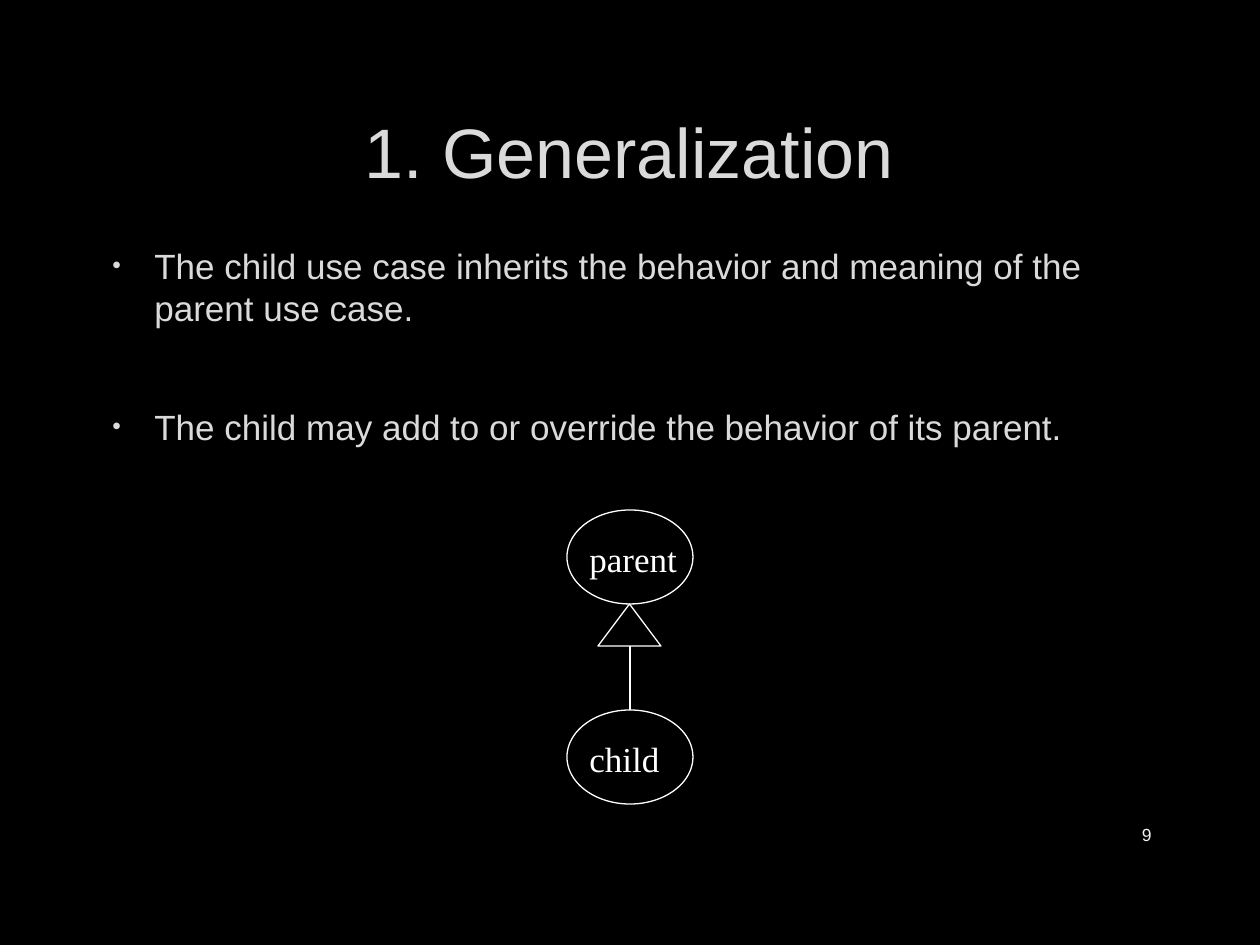
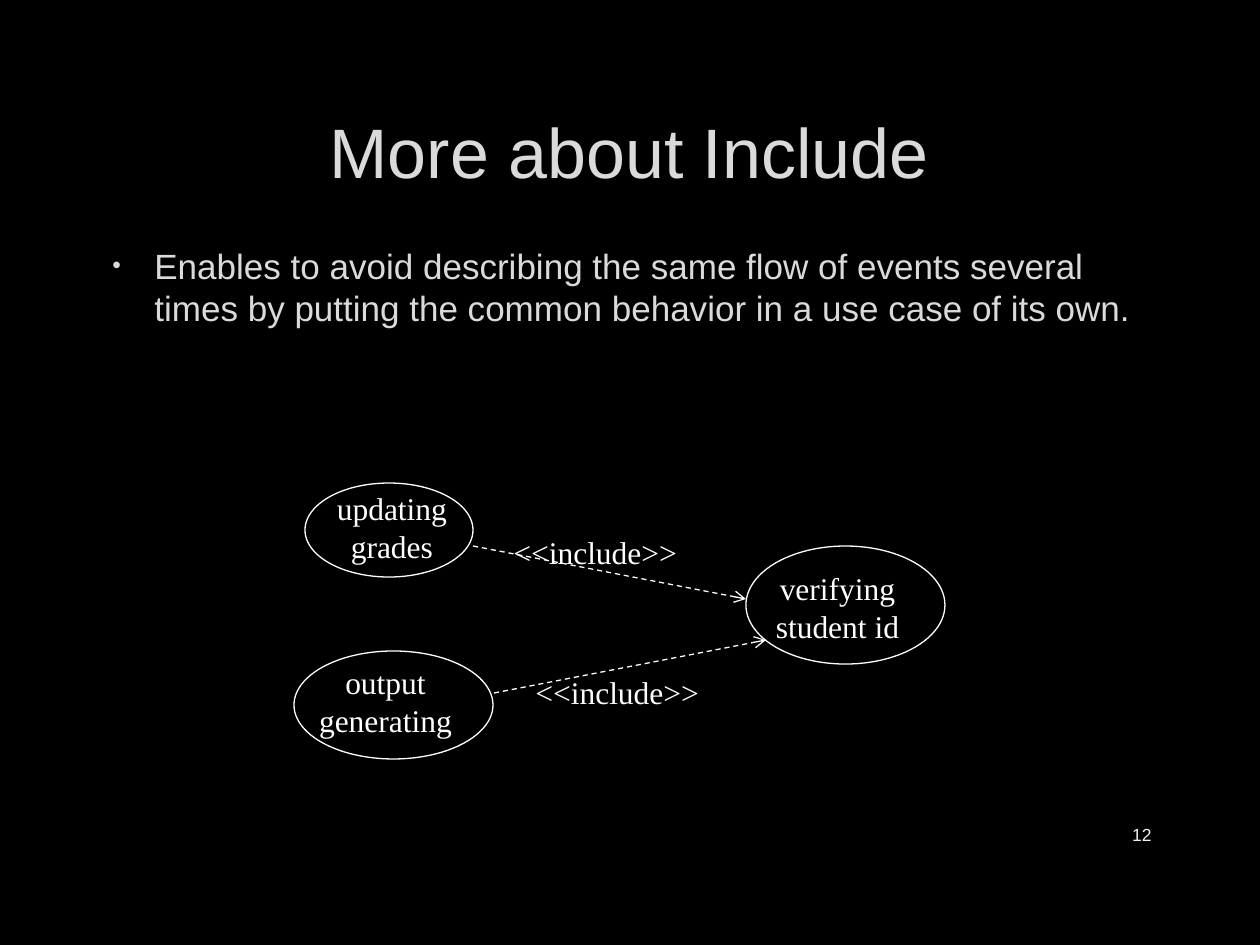
from lxml import etree
from pptx import Presentation
from pptx.dml.color import RGBColor
from pptx.enum.dml import MSO_LINE
from pptx.enum.shapes import MSO_CONNECTOR, MSO_SHAPE
from pptx.enum.text import MSO_ANCHOR, PP_ALIGN
from pptx.oxml.ns import qn
from pptx.util import Pt

PX = 914400 / 126
WIDTH, HEIGHT = 1260, 945
BLACK, WHITE, GREY, PALE = "000000", "FFFFFF", "DADADA", "F2F2F2"
SANS, SERIF = "Arial", "Times New Roman"
TITLE = (94, 84, 1070, 134)
BODY = (94, 238, 1070, 559)
NUMBER = (1086, 810, 78, 50)


def px(*vals):
    return [round(val * PX) for val in vals]


def color(code):
    return RGBColor.from_string(code)


def node(parent, tag, **attrs):
    item = etree.SubElement(parent, qn(tag))
    for key, val in attrs.items():
        item.set(key, val)
    return item


def write(frame, text, size=18, font=SERIF, ink=WHITE, align=PP_ALIGN.LEFT,
          anchor=MSO_ANCHOR.TOP, wrap=True, bullet=False, gap=0, after=0):
    """Fill a frame, one paragraph a line; gap parts the paragraphs."""
    frame.word_wrap = wrap
    frame.vertical_anchor = anchor
    for i, line in enumerate(text.split("\n")):
        para = frame.add_paragraph() if i else frame.paragraphs[0]
        para.alignment = align
        para.space_before = Pt(gap if i else 0)
        para.space_after = Pt(after)
        if bullet:
            add_bullet(para, ink)
        run = para.add_run()
        run.text = line
        run.font.size = Pt(size)
        run.font.name = font
        run.font.color.rgb = color(ink)


def add_bullet(para, ink):
    props = para._p.get_or_add_pPr()
    left, hang = px(48, 42)
    props.set("marL", str(left))
    props.set("indent", str(-hang))
    node(node(props, "a:buClr"), "a:srgbClr", val=ink)
    node(props, "a:buSzPct", val="70000")
    node(props, "a:buFont", typeface=SANS)
    node(props, "a:buChar", char="•")


def label(slide, box, text, **style):
    write(slide.shapes.add_textbox(*px(*box)).text_frame, text, **style)


def outline(slide, kind, box):
    shape = slide.shapes.add_shape(kind, *px(*box))
    shape.shadow.inherit = False
    shape.fill.background()
    shape.line.color.rgb = color(WHITE)
    shape.line.width = Pt(0.75)
    return shape


def link(slide, start, end, arrow=False):
    line = slide.shapes.add_connector(
        MSO_CONNECTOR.STRAIGHT, *px(*start, *end))
    line.line.color.rgb = color(WHITE)
    line.line.width = Pt(0.75)
    if arrow:
        line.line.dash_style = MSO_LINE.DASH
        node(line.line._get_or_add_ln(), "a:tailEnd", type="arrow")
    node(line._element.spPr, "a:effectLst")
    return line


def use_case(slide, box, inset, text, **style):
    """Draw an ellipse whose label sits at inset within it."""
    x, y = box[:2]
    dx, dy, w, h = inset
    oval = outline(slide, MSO_SHAPE.OVAL, box)
    label(slide, (x + dx, y + dy, w, h), text, **style)
    return oval


def add_page(deck, title, points, number):
    slide = deck.slides.add_slide(deck.slide_layouts[5])
    head = slide.shapes.title
    head.left, head.top, head.width, head.height = px(*TITLE)
    write(head.text_frame, title, size=40, font=SANS, ink=GREY,
          align=PP_ALIGN.CENTER, anchor=MSO_ANCHOR.MIDDLE)
    label(slide, BODY, points, size=20, font=SANS, ink=GREY,
          bullet=True, gap=38, after=6)
    label(slide, NUMBER, number, size=10, font=SANS, ink=PALE,
          align=PP_ALIGN.RIGHT, anchor=MSO_ANCHOR.MIDDLE)
    return slide


def draw_family(slide, box):
    """Stack parent over child, joined by a hollow-headed line."""
    x, y, w, h = box
    oval, head, half = 94, 42, w // 2
    inset = (10, 21, 116, 54)
    low = y + h - oval
    tip = y + oval
    use_case(slide, (x, y, w, oval), inset, "parent", size=20)
    child = use_case(slide, (x, low, w, oval), inset, "child", size=20)
    stem = link(slide, (x + half, tip + head), (x + half, low))
    stem.end_connect(child, 0)
    outline(slide, MSO_SHAPE.ISOSCELES_TRIANGLE,
            (x + w // 4, tip, half, head))


def draw_include(slide, left, top):
    """Point two use cases at the one they share."""
    cases = [
        ((11, 0, 168, 94), (10, 0, 154, 88), "updating\ngrades"),
        ((0, 168, 199, 108), (0, 6, 183, 88), "output\ngenerating"),
        ((452, 63, 199, 118), (0, 17, 183, 88), "verifying\nstudent id"),
    ]
    for (x, y, w, h), inset, text in cases:
        use_case(slide, (left + x, top + y, w, h), inset, text,
                 align=PP_ALIGN.CENTER)
    links = [
        ((179, 63), (452, 116), (207, 44)),
        ((200, 210), (472, 157), (229, 184)),
    ]
    for *ends, (x, y) in links:
        start, end = [(left + a, top + b) for a, b in ends]
        link(slide, start, end, arrow=True)
        label(slide, (left + x, top + y, 203, 50), "<<include>>", wrap=False)


def main():
    deck = Presentation()
    deck.slide_width, deck.slide_height = px(WIDTH, HEIGHT)
    fill = deck.slide_master.background.fill
    fill.solid()
    fill.fore_color.rgb = color(BLACK)

    slide = add_page(
        deck, "1. Generalization",
        "The child use case inherits the behavior and meaning of the "
        "parent use case.\n"
        "The child may add to or override the behavior of its parent.", "9")
    draw_family(slide, (567, 510, 126, 294))

    slide = add_page(
        deck, "More about Include",
        "Enables to avoid describing the same flow of events several times "
        "by putting the common behavior in a use case of its own.", "12")
    draw_include(slide, 294, 483)
    deck.save("out.pptx")


if __name__ == "__main__":
    main()
